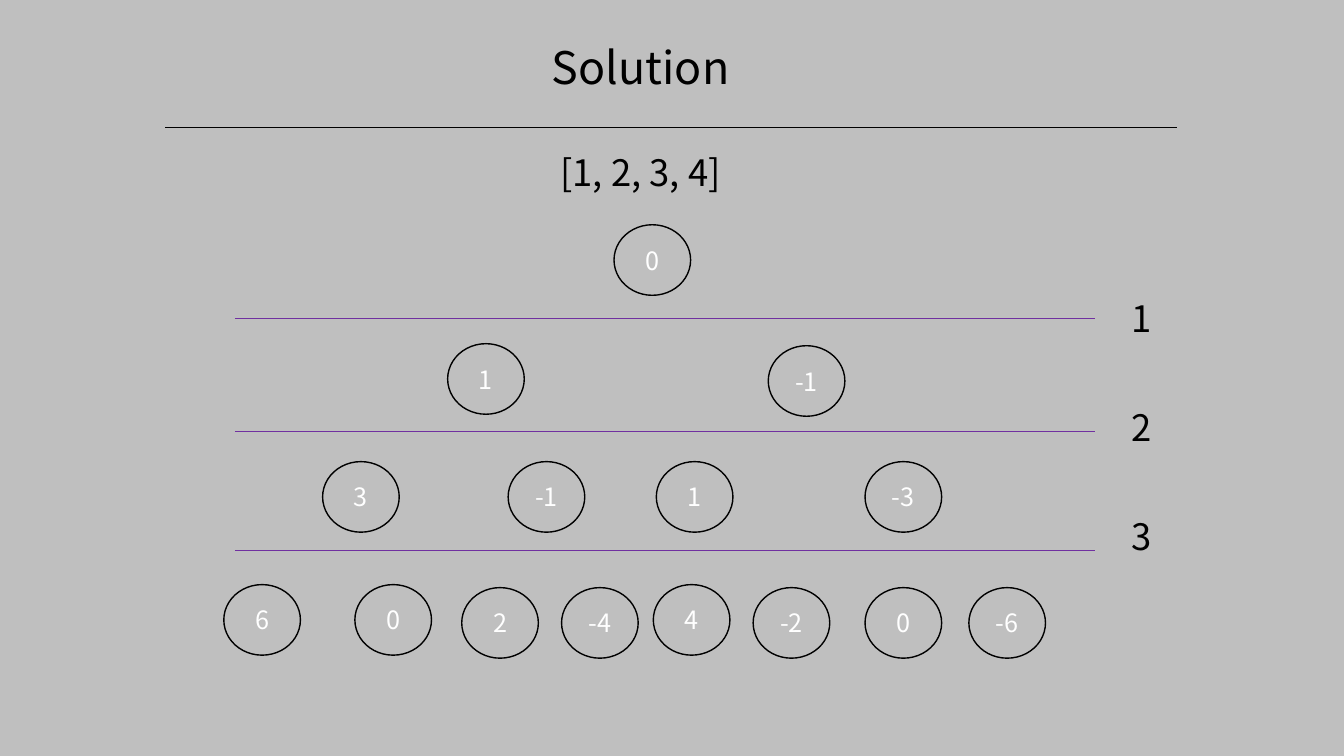
from pptx import Presentation
from pptx.dml.color import RGBColor
from pptx.enum import shapes, text
from pptx.util import Inches, Pt
from lxml import etree

BLACK = RGBColor(0x00, 0x00, 0x00)
WHITE = RGBColor(0xFF, 0xFF, 0xFF)
PURPLE = RGBColor(0x70, 0x30, 0xA0)
GREY = RGBColor(0xBF, 0xBF, 0xBF)
FONT = "Noto Sans CJK KR"
DRAWING_NS = "http://schemas.openxmlformats.org/drawingml/2006/main"

TITLE = {"name": FONT, "size": Pt(32)}
BODY = {"name": FONT, "size": Pt(26)}
NODE = {"name": FONT, "size": Pt(18)}
NODE_SIZE = (0.76, 0.7)

TREE_LEVELS = [
    [("0", 3.87, 0)],
    [("1", 2.22, 1.18), ("-1", 5.4, 1.2)],
    [("3", 0.98, 2.35), ("-1", 2.82, 2.35), ("1", 4.29, 2.35), ("-3", 6.36, 2.35)],
    [("6", 0, 3.57), ("0", 1.3, 3.57), ("2", 2.36, 3.6), ("-4", 3.35, 3.6),
     ("4", 4.26, 3.57), ("-2", 5.25, 3.6), ("0", 6.36, 3.6), ("-6", 7.39, 3.6)],
]
DIVIDER_TOPS = [0.93, 2.05, 3.23]


def write(frame, wording, style, color):
    """Put one centred, formatted line of wording into a text frame."""
    paragraph = frame.paragraphs[0]
    paragraph.alignment = text.PP_ALIGN.CENTER
    run = paragraph.add_run()
    run.text = wording
    for attribute, value in style.items():
        setattr(run.font, attribute, value)
    run.font.color.rgb = color


def add_label(slide, box, wording, style):
    """Add a black text label that fits its wording."""
    frame = slide.shapes.add_textbox(*map(Inches, box)).text_frame
    frame.word_wrap = True
    frame.auto_size = text.MSO_AUTO_SIZE.SHAPE_TO_FIT_TEXT
    write(frame, wording, style, BLACK)


def add_rule(slide, left, top, width, color):
    """Add a thin horizontal rule without a shadow."""
    ends = map(Inches, (left, top, left + width, top))
    rule = slide.shapes.add_connector(shapes.MSO_CONNECTOR.STRAIGHT, *ends)
    rule.line.color.rgb = color
    rule.line.width = Pt(0.5)
    etree.SubElement(rule._element.spPr, f"{{{DRAWING_NS}}}effectLst")


def add_node(slide, left, top, value):
    """Add one outlined tree node holding its value."""
    node = slide.shapes.add_shape(
        shapes.MSO_SHAPE.OVAL, *map(Inches, (left, top, *NODE_SIZE)))
    node.shadow.inherit = False
    node.fill.background()
    node.line.color.rgb = BLACK
    node.line.width = Pt(1)
    node.text_frame.vertical_anchor = text.MSO_ANCHOR.MIDDLE
    write(node.text_frame, value, NODE, WHITE)


def add_heading(slide, left, top, width):
    """Place the title, its rule and the input list."""
    add_label(slide, (left + 1.94, top, 5.55, 0.64), "Solution", TITLE)
    add_rule(slide, left, top + 0.92, width, BLACK)
    add_label(slide, (left + 3.33, top + 1.1, 2.77, 0.54), "[1, 2, 3, 4]", BODY)


def add_tree(slide, left, top):
    """Place the nodes of every level and the dividers between levels."""
    for level in TREE_LEVELS:
        for value, across, down in level:
            add_node(slide, left + across, top + down, value)
    for down in DIVIDER_TOPS:
        add_rule(slide, left + 0.11, top + down, 8.53, PURPLE)


def add_level_numbers(slide, left, top, pitch):
    """Number the dividers from top to bottom at an equal pitch."""
    for index in range(len(DIVIDER_TOPS)):
        box = (left, top + index * pitch, 0.55, 0.54)
        add_label(slide, box, str(index + 1), BODY)


def build():
    """Build and save the solution slide."""
    deck = Presentation()
    deck.slide_width, deck.slide_height = Inches(13.33), Inches(7.5)
    slide = deck.slides.add_slide(deck.slide_layouts[6])
    slide.background.fill.solid()
    slide.background.fill.fore_color.rgb = GREY
    add_heading(slide, 1.64, 0.34, 10.03)
    add_tree(slide, 2.22, 2.23)
    add_level_numbers(slide, 11.05, 2.89, 1.08)
    deck.save("out.pptx")


build()
